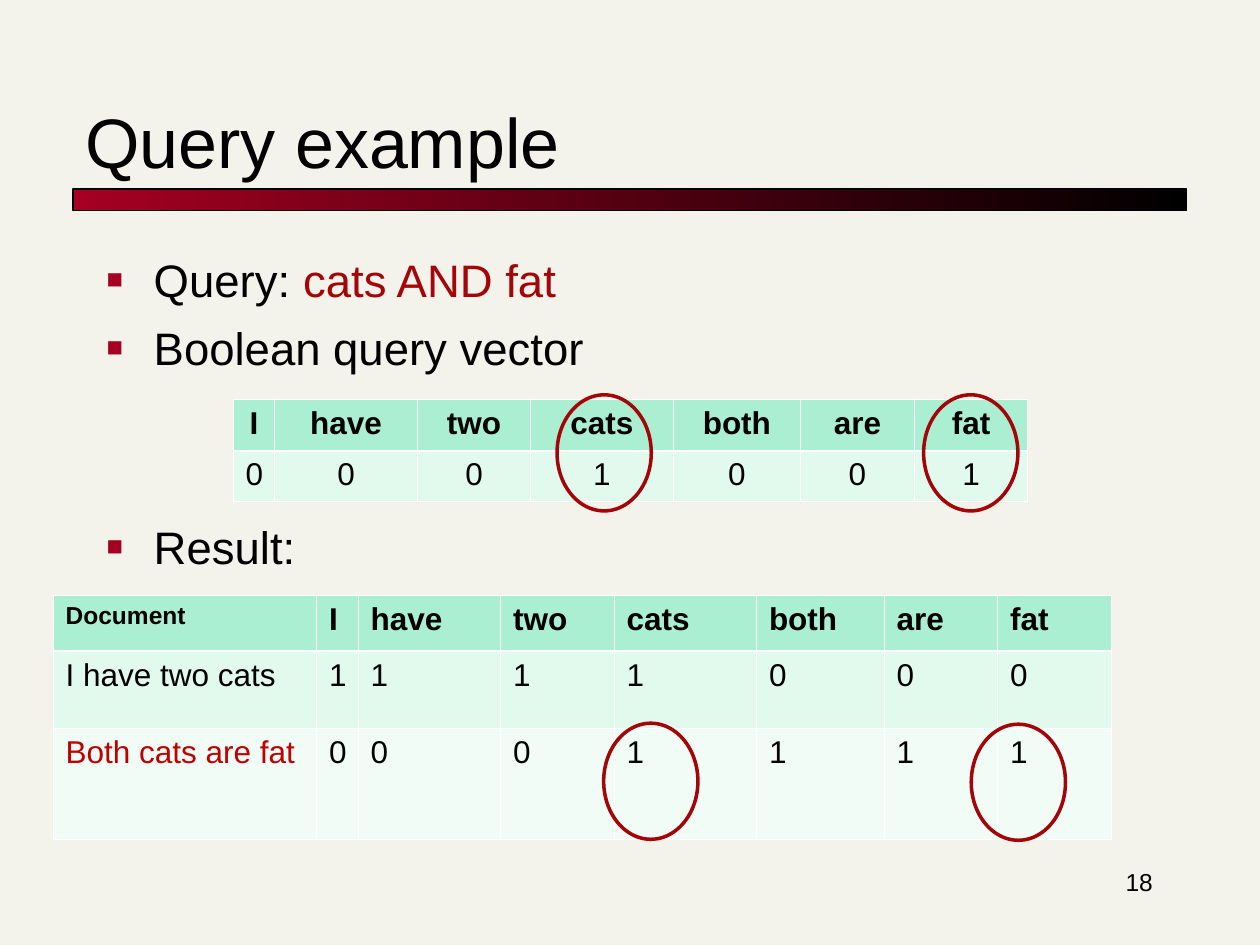
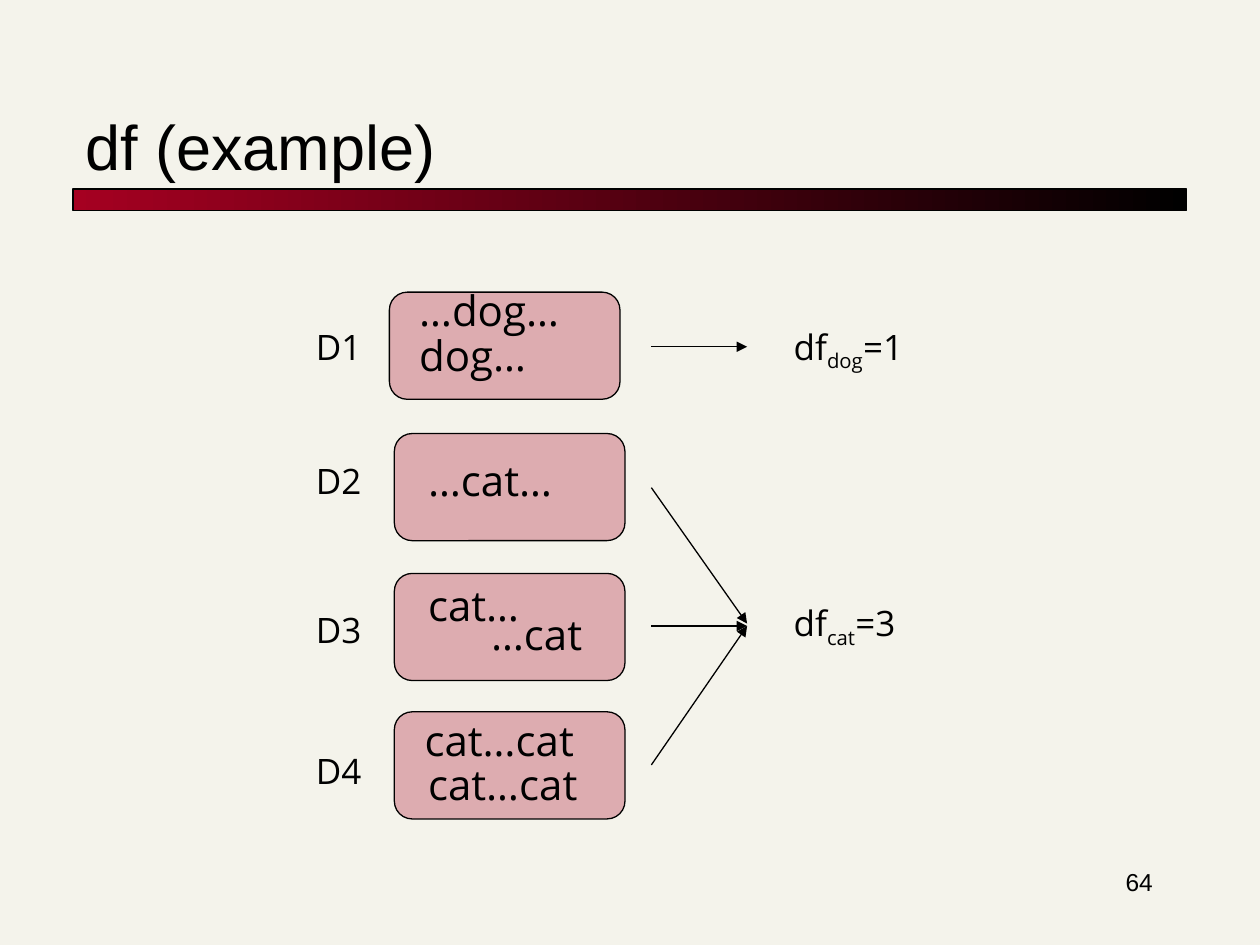
import lxml.etree
import pptx
import pptx.chart.data
import pptx.dml.color
import pptx.enum.shapes
import pptx.enum.text
import pptx.oxml.ns
import pptx.util

Cm = pptx.util.Cm
Pt = pptx.util.Pt
SHAPE = pptx.enum.shapes.MSO_SHAPE
ALIGN = pptx.enum.text.PP_ALIGN
ANCHOR = pptx.enum.text.MSO_ANCHOR

PAPER, BLACK, WHITE = "F4F3EB", "000000", "FFFFFF"
CRIMSON, RED, ROW_RED = "A50021", "A40508", "C00000"
ROW_FILLS = ["AAEFD1", "E2F9EE", "F1FCF7"]
THIN, THICK = 0.45, 1.47


def rgb(value):
    return pptx.dml.color.RGBColor.from_string(value)


def child(parent, tag, **attrs):
    return lxml.etree.SubElement(parent, pptx.oxml.ns.qn(tag), attrs)


class Deck:
    """Hold the shared style and the current slide, and draw each kind of element."""

    def __init__(self):
        self.prs = pptx.Presentation()
        self.prs.slide_width, self.prs.slide_height = Cm(25.4), Cm(19.05)
        fill = self.prs.slide_master.background.fill
        fill.solid()
        fill.fore_color.rgb = rgb(PAPER)

    def slide(self, title, size, number):
        self.s = self.prs.slides.add_slide(self.prs.slide_layouts[6])
        bar = self.shape(SHAPE.RECTANGLE, 1.47, 3.81, 22.45, 0.43)
        bar.fill.gradient()
        bar.fill.gradient_angle = 0
        for stop, color in zip(bar.fill.gradient_stops, [CRIMSON, BLACK]):
            stop.color.rgb = rgb(color)
        tf = self.text(1.47, 1.07, 22.43, 2.74, [title], size)
        tf.vertical_anchor = ANCHOR.BOTTOM
        tf = self.text(18.21, 17.35, 5.28, 1.27, [str(number)], 14)
        tf.paragraphs[0].alignment = ALIGN.RIGHT

    def run(self, p, text, size, color=BLACK, font="Arial", bold=False):
        r = p.add_run()
        r.text = text
        r.font.name, r.font.size, r.font.bold = font, Pt(size), bold
        r.font.color.rgb = rgb(color)
        return r

    def text(self, x, y, w, h, lines, size, font="Arial", wrap=True):
        tf = self.s.shapes.add_textbox(Cm(x), Cm(y), Cm(w), Cm(h)).text_frame
        tf.word_wrap = wrap
        for i, line in enumerate(lines):
            p = tf.add_paragraph() if i else tf.paragraphs[0]
            self.run(p, line, size, font=font)
        return tf

    def bullets(self, x, y, w, h, items, size):
        tf = self.s.shapes.add_textbox(Cm(x), Cm(y), Cm(w), Cm(h)).text_frame
        tf.word_wrap = True
        for i, (before, runs) in enumerate(items):
            p = tf.add_paragraph() if i else tf.paragraphs[0]
            p.space_before = Pt(before)
            pPr = p._p.get_or_add_pPr()
            pPr.set("marL", str(Cm(0.95)))
            pPr.set("indent", str(Cm(-0.95)))
            child(child(pPr, "a:buClr"), "a:srgbClr", val=CRIMSON)
            child(pPr, "a:buSzPct", val="60000")
            child(pPr, "a:buFont", typeface="Arial")
            child(pPr, "a:buChar", char="■")
            for text, color in runs:
                self.run(p, text, size, color)

    def shape(self, kind, x, y, w, h, line=BLACK, width=0.75):
        sp = self.s.shapes.add_shape(kind, Cm(x), Cm(y), Cm(w), Cm(h))
        sp.shadow.inherit = False
        sp.fill.background()
        sp.line.color.rgb = rgb(line)
        sp.line.width = Pt(width)
        return sp

    def ring(self, x, y):
        self.shape(SHAPE.OVAL, x, y, 1.9, 2.34, RED, 2)

    def card(self, x, y):
        sp = self.shape(SHAPE.ROUNDED_RECTANGLE, x, y, 4.65, 2.16)
        sp.fill.solid()
        sp.fill.fore_color.rgb = rgb(CRIMSON)
        color = sp._element.spPr.find(".//" + pptx.oxml.ns.qn("a:srgbClr"))
        child(color, "a:alpha", val="29000")

    def arrow(self, x1, y1, x2, y2):
        line = self.s.shapes.add_connector(
            pptx.enum.shapes.MSO_CONNECTOR.STRAIGHT, Cm(x1), Cm(y1), Cm(x2), Cm(y2))
        line.line.color.rgb = rgb(BLACK)
        line.line.width = Pt(0.75)
        child(line.line._get_or_add_ln(), "a:tailEnd", type="triangle")
        child(line._element.spPr, "a:effectLst")

    def frequency(self, y, w, term, count):
        tf = self.text(15.75, y, w, 1.22, ["df"], 20, "Open Sans", False)
        p = tf.paragraphs[0]
        r = self.run(p, term, 20, font="Open Sans")
        r.font._element.set("baseline", "-25000")
        self.run(p, f"={count}", 20, font="Open Sans")

    def borders(self, cell, row):
        tcPr = cell._tc.get_or_add_tcPr()
        widths = {"L": THIN, "R": THIN, "T": THICK if row == 1 else THIN,
                  "B": THICK if row == 0 else THIN}
        for side, width in widths.items():
            ln = child(tcPr, f"a:ln{side}", w=str(Pt(width)))
            child(child(ln, "a:solidFill"), "a:srgbClr", val=WHITE)

    def table(self, x, y, cols, heights, rows, align, styles):
        tbl = self.s.shapes.add_table(len(rows), len(cols), Cm(x), Cm(y),
                                      Cm(sum(cols)), Cm(sum(heights))).table
        for column, width in zip(tbl.columns, cols):
            column.width = Cm(width)
        for i, (height, values) in enumerate(zip(heights, rows)):
            tbl.rows[i].height = Cm(height)
            for j, value in enumerate(values):
                cell = tbl.cell(i, j)
                self.borders(cell, i)
                cell.fill.solid()
                cell.fill.fore_color.rgb = rgb(ROW_FILLS[i])
                p = cell.text_frame.paragraphs[0]
                p.alignment = align
                size, color = styles.get(value, (18, BLACK))
                self.run(p, value, size, color, bold=i == 0)


def query_slide(deck):
    deck.slide("Query example", 40, 18)
    deck.bullets(1.9, 4.95, 21.6, 11, [
        (0, [("Query: ", BLACK), ("cats AND fat", RED)]),
        (7.65, [("Boolean query vector", BLACK)]),
        (82.7, [("Result:", BLACK)]),
    ], 26)
    words = "I have two cats both are fat".split()
    word_cols = [0.84, 2.87, 2.29, 2.87, 2.57, 2.29, 2.29]
    deck.table(4.7, 8.05, word_cols, [1.04, 1.02], [words, list("0001001")],
               ALIGN.CENTER, {})
    deck.ring(11.23, 7.96)
    deck.ring(18.62, 7.96)
    deck.table(1.07, 12.01, [5.31] + word_cols, [1.12, 1.55, 2.24], [
        ["Document"] + words,
        ["I have two cats"] + list("1111000"),
        ["Both cats are fat"] + list("0001111"),
    ], ALIGN.LEFT, {"Document": (14, BLACK), "Both cats are fat": (18, ROW_RED)})
    deck.ring(12.17, 14.58)
    deck.ring(19.58, 14.6)


def df_slide(deck):
    deck.slide("df (example)", 36, 64)
    cards = [(7.85, 5.89), (7.95, 8.74), (7.95, 11.56), (7.95, 14.35)]
    label_tops = [6.43, 9.14, 12.14, 14.99]
    for i, ((x, y), top) in enumerate(zip(cards, label_tops), 1):
        deck.card(x, y)
        deck.text(6.12, top, 1.42, 1.12, [f"D{i}"], 20, "Open Sans", False)
    tf = deck.text(8.2, 5.72, 3.94, 2.29, ["…dog…", "dog…"], 24, "Open Sans")
    for p in tf.paragraphs:
        p.line_spacing = 0.9
    for x, y, w, words in [
        (8.38, 9.04, 3.61, "…cat…"),
        (8.38, 11.56, 3.56, "cat…"),
        (9.65, 12.14, 2.97, "…cat"),
        (8.31, 14.27, 4.19, "cat…cat"),
        (8.38, 15.16, 3.96, "cat…cat"),
    ]:
        deck.text(x, y, w, 1.27, [words], 24, "Open Sans")
    for start, end in [(6.99, 6.99), (9.83, 12.57), (12.62, 12.62), (15.42, 12.62)]:
        deck.arrow(13.13, start, 15.06, end)
    deck.frequency(6.43, 2.74, "dog", 1)
    deck.frequency(12.01, 2.57, "cat", 3)


def main():
    deck = Deck()
    query_slide(deck)
    df_slide(deck)
    deck.prs.save("out.pptx")


if __name__ == "__main__":
    main()
